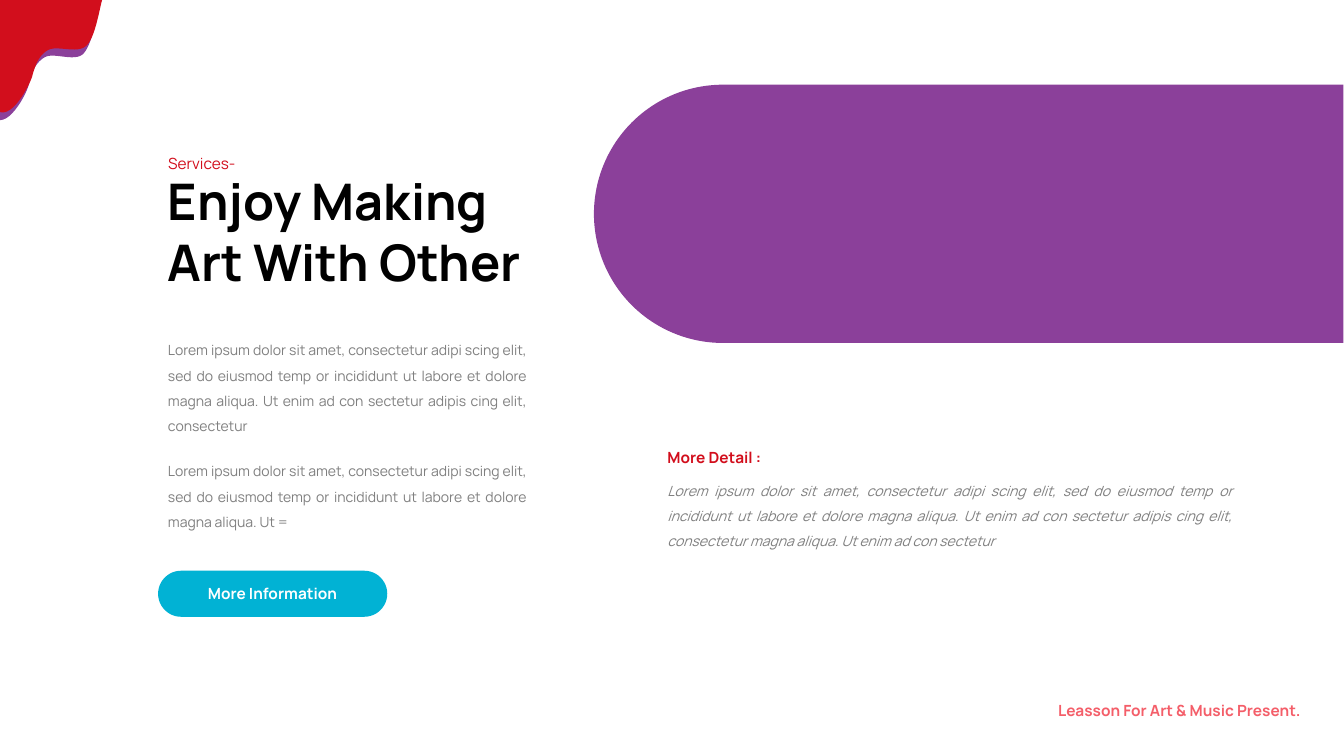
"""Build the art services slide with a paint drip, a purple panel and text."""
from pptx import Presentation
from pptx.dml.color import RGBColor
from pptx.enum.shapes import MSO_SHAPE
from pptx.enum.text import MSO_ANCHOR, PP_ALIGN
from pptx.util import Pt

PX = 9080
CURVE_STEPS = 12
FONT = "Manrope"
LEFT, CENTER, RIGHT, JUSTIFY = PP_ALIGN.LEFT, PP_ALIGN.CENTER, PP_ALIGN.RIGHT, PP_ALIGN.JUSTIFY
COLORS = {"purple": "8B409A", "red": "D20E1C", "pink": "F45E69", "cyan": "01B2D4",
          "black": "000000", "gray": "7F7F7F", "white": "FFFFFF"}


def paint(shape, color):
    """Give a shape a plain fill without outline or shadow."""
    shape.shadow.inherit = False
    shape.fill.solid()
    shape.fill.fore_color.rgb = RGBColor.from_string(COLORS[color])
    shape.line.fill.background()


def write(shape, text, size, color, align, spacing=1.0, bold=False, italic=False):
    """Write one wrapped paragraph into a shape."""
    shape.text_frame.word_wrap = True
    paragraph = shape.text_frame.paragraphs[0]
    paragraph.text = text
    paragraph.alignment = align
    paragraph.line_spacing = spacing
    font = paragraph.font
    font.name, font.size, font.bold, font.italic = FONT, Pt(size), bold, italic
    font.color.rgb = RGBColor.from_string(COLORS[color])


presentation = Presentation()
presentation.slide_width = 1343 * PX
presentation.slide_height = 755 * PX
slide = presentation.slides.add_slide(presentation.slide_layouts[6])
shapes = slide.shapes

panel_left, panel_top, panel_width, panel_height = 594, 84, 749, 258
turn_offset = (panel_width - panel_height) // 2
panel = shapes.add_shape(
    MSO_SHAPE.ROUND_2_SAME_RECTANGLE,
    (panel_left + turn_offset) * PX, (panel_top - turn_offset) * PX,
    panel_height * PX, panel_width * PX)
panel.rotation = 270
panel.adjustments[0] = 0.5
panel.adjustments[1] = 0
paint(panel, "purple")

drips = [
    ("purple", (0, 8), (99, 8),
     [((96, 18), (92, 45), (83, 54)), ((74, 62), (54, 52), (45, 57)),
      ((36, 62), (32, 71), (29, 84)), ((26, 95), (12, 120), (0, 120))]),
    ("red", (0, 0), (102, 0),
     [((99, 11), (95, 38), (86, 46)), ((77, 54), (57, 45), (48, 50)),
      ((39, 55), (35, 65), (32, 77)), ((28, 88), (13, 116), (0, 112))]),
]
for color, corner, edge, curves in drips:
    points = [edge]
    for control_1, control_2, end in curves:
        start = points[-1]
        for step in range(1, CURVE_STEPS + 1):
            t = step / CURVE_STEPS
            u = 1 - t
            points.append(tuple(
                u ** 3 * a + 3 * u * u * t * b + 3 * u * t * t * c + t ** 3 * d
                for a, b, c, d in zip(start, control_1, control_2, end)))
    builder = shapes.build_freeform(corner[0] * PX, corner[1] * PX)
    builder.add_line_segments([(x * PX, y * PX) for x, y in points], close=True)
    paint(builder.convert_to_shape(), color)

LOREM = ("Lorem ipsum dolor sit amet, consectetur adipi scing elit, sed do eiusmod temp or "
         "incididunt ut labore et dolore magna aliqua. Ut ")
DETAIL = LOREM + "enim ad con sectetur adipis cing elit, consectetur"

texts = [
    (932, 686, 378, 38, "Leasson For Art & Music Present.", 11, "pink", RIGHT, 1.5, True, False),
    (158, 165, 419, 131, "Enjoy Making Art With Other", 36, "black", LEFT, 1.0, True, False),
    (158, 140, 169, 38, "Services-", 11, "red", JUSTIFY, 1.5, False, False),
    (158, 328, 378, 111, DETAIL, 10, "gray", JUSTIFY, 1.5, False, False),
    (158, 449, 378, 86, LOREM + "=", 10, "gray", JUSTIFY, 1.5, False, False),
    (657, 468, 584, 86, DETAIL + " magna aliqua. Ut enim ad con sectetur",
     10, "gray", JUSTIFY, 1.5, False, True),
    (657, 433, 158, 38, "More Detail :", 11, "red", JUSTIFY, 1.5, True, False),
]
for left, top, width, height, *content in texts:
    write(shapes.add_textbox(left * PX, top * PX, width * PX, height * PX), *content)

button = shapes.add_shape(MSO_SHAPE.ROUNDED_RECTANGLE, 158 * PX, 570 * PX, 229 * PX, 46 * PX)
button.adjustments[0] = 0.5
paint(button, "cyan")
button.text_frame.vertical_anchor = MSO_ANCHOR.MIDDLE
write(button, "More Information", 11, "white", CENTER, bold=True)

presentation.save("out.pptx")
